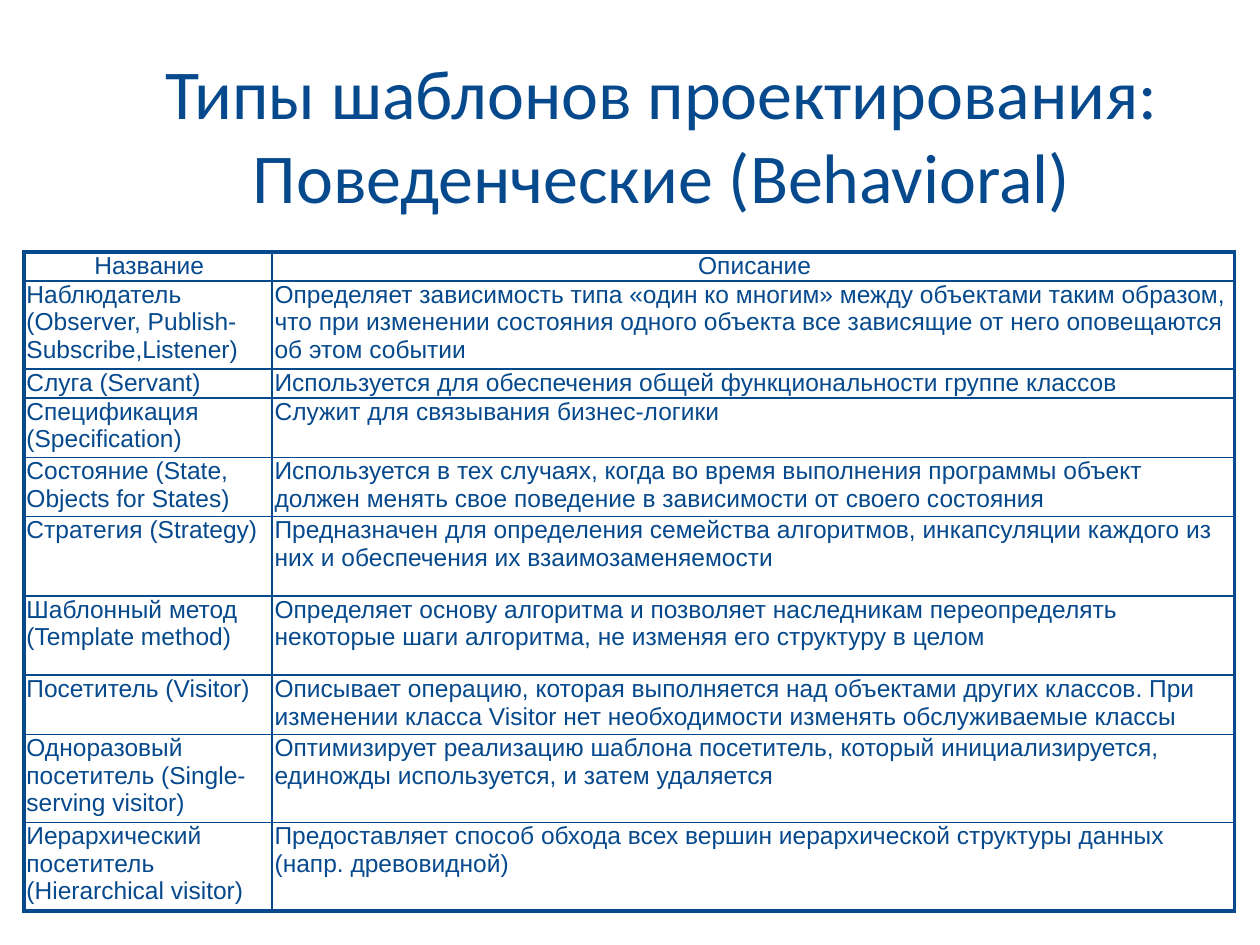
from lxml import etree
from pptx import Presentation, util as u
from pptx.dml.color import RGBColor
from pptx.enum import shapes, text
from pptx.oxml.ns import qn

BLUE = RGBColor(0x06, 0x49, 0x8C)
WHITE = RGBColor(0xFF, 0xFF, 0xFF)
TITLE = "Типы шаблонов проектирования: Поведенческие (Behavioral)"
HEADER = ("Название", "Описание")
PATTERNS = [
    ("Наблюдатель (Observer, Publish-Subscribe,Listener)",
     "Определяет зависимость типа «один ко многим» между объектами таким образом, что при "
     "изменении состояния одного объекта все зависящие от него оповещаются об этом событии"),
    ("Слуга (Servant)",
     "Используется для обеспечения общей функциональности группе классов"),
    ("Спецификация (Specification)",
     "Служит для связывания бизнес-логики"),
    ("Состояние (State, Objects for States)",
     "Используется в тех случаях, когда во время выполнения программы объект должен менять "
     "свое поведение в зависимости от своего состояния"),
    ("Стратегия (Strategy)",
     "Предназначен для определения семейства алгоритмов, инкапсуляции каждого из них и "
     "обеспечения их взаимозаменяемости"),
    ("Шаблонный метод (Template method)",
     "Определяет основу алгоритма и позволяет наследникам переопределять некоторые шаги "
     "алгоритма, не изменяя его структуру в целом"),
    ("Посетитель (Visitor)",
     "Описывает операцию, которая выполняется над объектами других классов. При изменении "
     "класса Visitor нет необходимости изменять обслуживаемые классы"),
    ("Одноразовый посетитель (Single-serving visitor)",
     "Оптимизирует реализацию шаблона посетитель, который инициализируется, единожды "
     "используется, и затем удаляется"),
    ("Иерархический посетитель (Hierarchical visitor)",
     "Предоставляет способ обхода всех вершин иерархической структуры данных "
     "(напр. древовидной)"),
]
ROWS = [HEADER] + PATTERNS
COLS = (1.97, 7.64)
HEIGHTS = (0.23, 0.7, 0.23, 0.47, 0.47, 0.63, 0.63, 0.47, 0.7, 0.7)
THICK, THIN = 2.25, 1
TITLE_FRAME = dict(word_wrap=True, vertical_anchor=text.MSO_ANCHOR.MIDDLE,
                   margin_left=u.Inches(0.02), margin_right=u.Inches(0.02),
                   margin_top=u.Inches(0.01), margin_bottom=u.Inches(0.01))
CELL = dict(margin_left=u.Inches(0.02), margin_top=0, margin_right=0, margin_bottom=0)
TITLE_FONT = dict(name="Calibri", size=u.Pt(40))
CELL_FONT = dict(name="Arial", size=u.Pt(14))


def set_all(obj, values):
    for key, value in values.items():
        setattr(obj, key, value)


def write(tf, words, font, align):
    p = tf.paragraphs[0]
    p.alignment = align
    r = p.add_run()
    r.text = words
    set_all(r.font, font)
    r.font.color.rgb = BLUE


def add_borders(cell, outer):
    tc_pr = cell._tc.get_or_add_tcPr()
    for i, (side, is_outer) in enumerate(outer.items()):
        width = u.Pt(THICK if is_outer else THIN)
        ln = etree.Element(qn(f"a:ln{side}"), w=str(int(width)))
        fill = etree.SubElement(ln, qn("a:solidFill"))
        etree.SubElement(fill, qn("a:srgbClr"), val=str(BLUE))
        tc_pr.insert(i, ln)


prs = Presentation()
prs.slide_width, prs.slide_height = u.Inches(10), u.Inches(7.5)
s = prs.slides.add_slide(prs.slide_layouts[6])

title = s.shapes.add_shape(shapes.MSO_SHAPE.RECTANGLE,
                           *map(u.Inches, (0.5, 0.5, 9.5, 1.12)))
title.shadow.inherit = False
title.line.fill.background()
title.fill.solid()
title.fill.fore_color.rgb = WHITE
color = title._element.spPr.find(qn("a:solidFill")).find(qn("a:srgbClr"))
etree.SubElement(color, qn("a:alpha"), val="20000")
set_all(title.text_frame, TITLE_FRAME)
write(title.text_frame, TITLE, TITLE_FONT, text.PP_ALIGN.CENTER)

frame = s.shapes.add_table(len(ROWS), len(COLS), u.Inches(0.19), u.Inches(2),
                           u.Inches(sum(COLS)), u.Inches(sum(HEIGHTS)))
table = frame.table
set_all(table, dict(first_row=False, horz_banding=False))
for col, width in zip(table.columns, COLS):
    col.width = u.Inches(width)
for row, height in zip(table.rows, HEIGHTS):
    row.height = u.Inches(height)

for i, row in enumerate(ROWS):
    for j, words in enumerate(row):
        cell = table.cell(i, j)
        set_all(cell, CELL)
        cell.fill.background()
        align = text.PP_ALIGN.LEFT if i else text.PP_ALIGN.CENTER
        write(cell.text_frame, words, CELL_FONT, align)
        add_borders(cell, dict(L=j == 0, R=j == len(COLS) - 1,
                               T=i == 0, B=i == len(ROWS) - 1))

prs.save("out.pptx")
